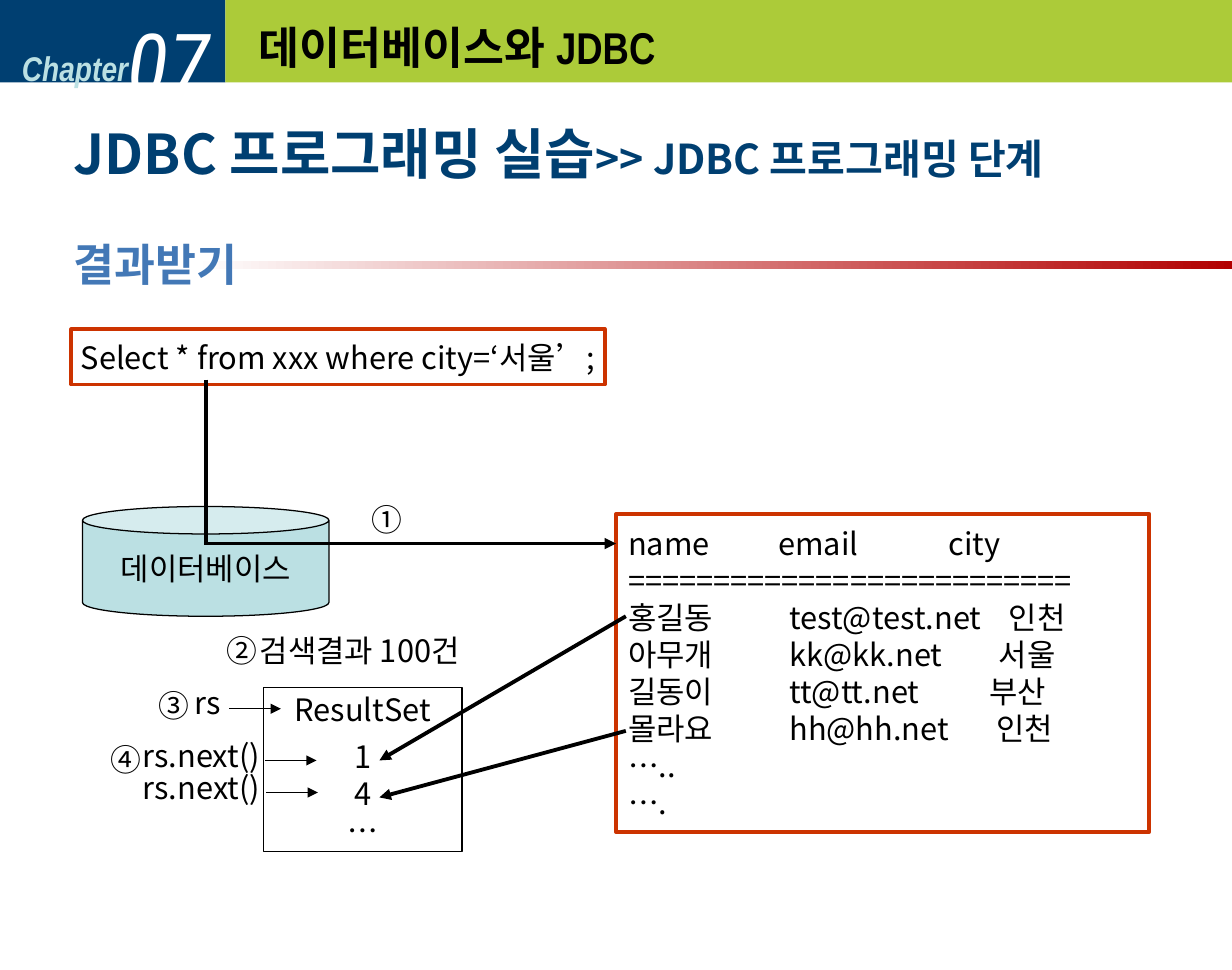
from dataclasses import dataclass
from typing import Optional

from lxml import etree
from pptx import Presentation
from pptx.dml.color import RGBColor
from pptx.enum.shapes import MSO_CONNECTOR, MSO_SHAPE
from pptx.enum.text import MSO_ANCHOR, MSO_AUTO_SIZE, PP_ALIGN
from pptx.oxml.ns import qn
from pptx.util import Inches, Pt

RECT, CAN = MSO_SHAPE.RECTANGLE, MSO_SHAPE.CAN
STRAIGHT = MSO_CONNECTOR.STRAIGHT
TOP, MIDDLE = MSO_ANCHOR.TOP, MSO_ANCHOR.MIDDLE
LEFT, CENTER = PP_ALIGN.LEFT, PP_ALIGN.CENTER
GROW = MSO_AUTO_SIZE.SHAPE_TO_FIT_TEXT


@dataclass(frozen=True)
class Theme:
    navy: str = "003F71"
    lime: str = "ACCB39"
    pale: str = "BBE0E3"
    blue: str = "4378B6"
    frame: str = "CC3300"
    red: str = "B20000"
    black: str = "000000"
    white: str = "FFFFFF"
    body_font: str = "Noto Sans CJK KR"
    bar_font: str = "Arial Narrow"
    number_font: str = "Roboto Condensed"
    text: int = 18
    chapter: int = 20
    path_size: int = 24
    heading: int = 26
    topic: int = 32
    number: int = 50
    thin: float = 0.75
    thick: float = 2.25


THEME = Theme()


@dataclass(frozen=True)
class Run:
    text: str
    size: int = THEME.text
    color: str = THEME.black
    font: str = THEME.body_font
    bold: bool = False
    italic: bool = False


@dataclass(frozen=True)
class Line:
    runs: tuple[Run, ...]
    before: float = 0
    tabs: tuple[float, ...] = ()


@dataclass(frozen=True)
class Box:
    left: float
    top: float
    width: float
    height: float


@dataclass(frozen=True)
class Arrow:
    start: tuple[float, float]
    end: tuple[float, float]
    weight: float = THEME.thick
    head: bool = True


def rgb(value: str) -> RGBColor:
    return RGBColor.from_string(value)


def place(box: Box) -> list[int]:
    return [Inches(v) for v in (box.left, box.top, box.width, box.height)]


def plain(text: str, before: float = 0, tabs: tuple[float, ...] = ()) -> Line:
    return Line((Run(text),), before, tabs)


def write(shape, lines: list[Line], align=LEFT, anchor=MIDDLE, wrap: bool = True) -> None:
    frame = shape.text_frame
    frame.word_wrap, frame.vertical_anchor = wrap, anchor
    for index, line in enumerate(lines):
        paragraph = frame.add_paragraph() if index else frame.paragraphs[0]
        paragraph.alignment, paragraph.space_before = align, Pt(line.before)
        if line.tabs:
            stops = etree.SubElement(paragraph._p.get_or_add_pPr(), qn("a:tabLst"))
            for stop in line.tabs:
                etree.SubElement(stops, qn("a:tab"), pos=str(Inches(stop)), algn="l")
        for part in line.runs:
            run = paragraph.add_run()
            run.text = part.text
            formats = {"size": Pt(part.size), "name": part.font,
                       "bold": part.bold, "italic": part.italic}
            for name, value in formats.items():
                setattr(run.font, name, value)
            run.font.color.rgb = rgb(part.color)
            etree.SubElement(run._r.get_or_add_rPr(), qn("a:ea"), typeface=part.font)


def add_shape(slide, kind, box: Box, fill: Optional[str] = None,
              line: Optional[str] = None, weight: float = THEME.thin):
    shape = slide.shapes.add_shape(kind, *place(box))
    shape.shadow.inherit = False
    if fill:
        shape.fill.solid()
        shape.fill.fore_color.rgb = rgb(fill)
    else:
        shape.fill.background()
    if line:
        shape.line.color.rgb, shape.line.width = rgb(line), Pt(weight)
    else:
        shape.line.fill.background()
    return shape


def add_text(slide, box: Box, lines: list[Line], anchor=MIDDLE) -> None:
    write(slide.shapes.add_textbox(*place(box)), lines, anchor=anchor)


def add_label(slide, left: float, top: float, width: float, text: str) -> None:
    label = slide.shapes.add_textbox(*place(Box(left, top, width, 0.4)))
    write(label, [plain(text)], anchor=TOP, wrap=False)
    label.text_frame.auto_size = GROW


def add_arrow(slide, arrow: Arrow) -> None:
    ends = [Inches(v) for v in (*arrow.start, *arrow.end)]
    connector = slide.shapes.add_connector(STRAIGHT, *ends)
    connector.line.color.rgb = rgb(THEME.black)
    connector.line.width = Pt(arrow.weight)
    if arrow.head:
        etree.SubElement(connector.line._get_or_add_ln(), qn("a:tailEnd"), type="triangle")
    etree.SubElement(connector._element.spPr, qn("a:effectLst"))


def add_header(slide) -> None:
    add_shape(slide, RECT, Box(0, 0, 1.83, 0.67), THEME.navy)
    add_text(slide, Box(0.08, 0.25, 1.58, 0.6), [Line((
        Run("Chapter", THEME.chapter, THEME.pale, THEME.bar_font, True, True),))])
    add_text(slide, Box(0.94, 0.08, 1, 0.83), [Line((
        Run("07", THEME.number, THEME.white, THEME.number_font, italic=True),))])
    add_shape(slide, RECT, Box(1.83, 0, 8.17, 0.67), THEME.lime)
    add_text(slide, Box(2, 0.08, 7.83, 0.6), [Line((
        Run("데이터베이스와 JDBC", THEME.heading, font=THEME.bar_font, bold=True),))])


def add_headings(slide) -> None:
    rule = add_shape(slide, RECT, Box(1.58, 2.12, 8.42, 0.06), THEME.red)
    rule.fill.gradient()
    rule.fill.gradient_angle = 0
    for stop, color in zip(rule.fill.gradient_stops, (THEME.white, THEME.red)):
        stop.color.rgb = rgb(color)
    add_text(slide, Box(0.5, 0.92, 9, 1.92), [
        Line((Run("JDBC 프로그래밍 실습", THEME.topic, THEME.navy, bold=True),
              Run(">> JDBC 프로그래밍 단계", THEME.path_size, THEME.navy, bold=True)), 6),
        Line((Run("결과받기", THEME.heading, THEME.blue, bold=True),), 30),
    ], anchor=TOP)


def add_boxes(slide) -> None:
    query = add_shape(slide, RECT, Box(0.58, 2.67, 4.33, 0.45), None, THEME.frame, THEME.thick)
    write(query, [plain("Select * from xxx where city=‘서울’;")], CENTER, wrap=False)

    database = add_shape(slide, CAN, Box(0.67, 4.11, 2, 0.89), THEME.pale, THEME.black)
    write(database, [plain("데이터베이스")], CENTER, wrap=False)

    records = [
        (("name", "email", "city"), (1.22, 2.6)),
        (("==========================",), ()),
        (("홍길동", "test@test.net", "인천"), (1.31, 3.09)),
        (("아무개", "kk@kk.net", "서울"), (1.31, 3.01)),
        (("길동이", "tt@tt.net", "부산"), (1.31, 2.93)),
        (("몰라요", "hh@hh.net", "인천"), (1.31, 2.99)),
        (("…..",), ()),
        (("….",), ()),
    ]
    table = add_shape(slide, RECT, Box(5, 4.17, 4.33, 2.58), None, THEME.frame, THEME.thick)
    write(table, [plain("\t".join(cells), tabs=tabs) for cells, tabs in records])

    result_set = add_shape(slide, RECT, Box(2.14, 5.58, 1.61, 1.33), None, THEME.black)
    write(result_set, [plain("ResultSet"), plain("1", 6), plain("4"), plain("…")],
          CENTER, wrap=False)


def main() -> None:
    deck = Presentation()
    deck.slide_width, deck.slide_height = Inches(10), Inches(7.87)
    slide = deck.slides.add_slide(deck.slide_layouts[6])
    add_header(slide)
    add_boxes(slide)
    pointers = [Arrow((x, y), (x + 0.42, y), THEME.thin)
                for x, y in ((1.86, 5.75), (2.15, 6.17), (2.16, 6.43))]
    flows = [
        Arrow((1.67, 3.08), (1.67, 4.42), head=False),
        Arrow((1.67, 4.41), (5, 4.41)),
        Arrow((5.08, 5), (3.08, 6.17)),
        Arrow((5.08, 5.93), (3.08, 6.47)),
    ]
    for arrow in pointers + flows:
        add_arrow(slide, arrow)
    for label in (
        (1.48, 5.5, 0.42, "rs"),
        (1.06, 5.93, 1.16, "rs.next()"),
        (1.06, 6.19, 1.18, "rs.next()"),
        (2.01, 5.08, 1.95, "검색결과 100건"),
        (2.92, 4.01, 0.42, "①"),
        (1.74, 5.08, 0.42, "②"),
        (1.19, 5.52, 0.42, "③"),
        (0.8, 5.96, 0.42, "④"),
    ):
        add_label(slide, *label)
    add_headings(slide)
    deck.save("out.pptx")


if __name__ == "__main__":
    main()
